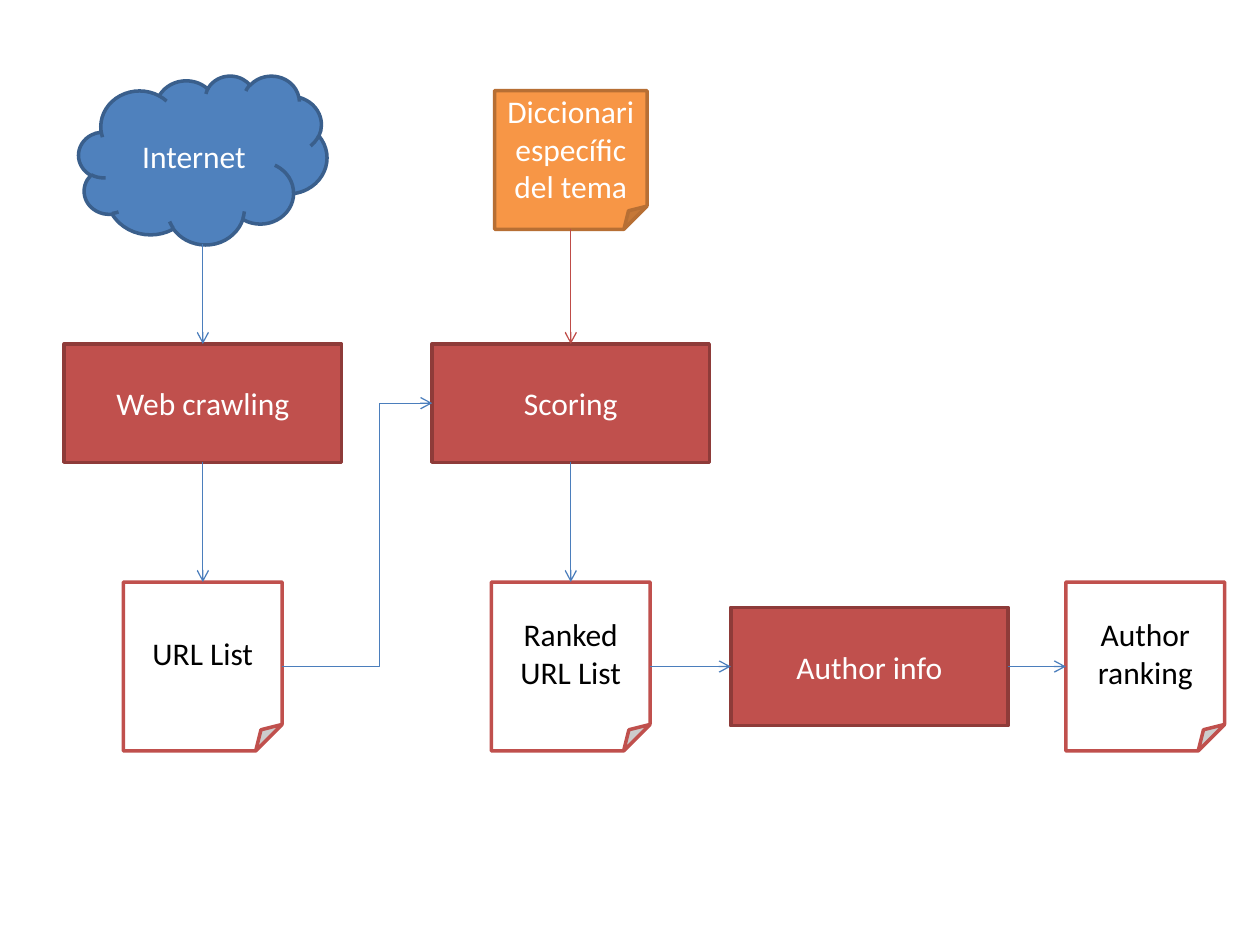
import dataclasses

import pptx
import pptx.dml.color
import pptx.enum.shapes
import pptx.enum.text
import pptx.oxml
import pptx.oxml.ns
import pptx.util

Inches = pptx.util.Inches
Kind = pptx.enum.shapes.MSO_SHAPE
Link = pptx.enum.shapes.MSO_CONNECTOR
TOP, LEFT, BOTTOM, RIGHT = range(4)


@dataclasses.dataclass(frozen=True)
class Theme:
    font: str = "Calibri"
    size: int = 18
    edge: float = 2
    thin: float = 0.75
    white: str = "FFFFFF"
    black: str = "000000"
    blue: str = "4F81BD"
    navy: str = "3A5F8C"
    red: str = "C0504D"
    dark: str = "8E3B39"
    gold: str = "F79646"
    brown: str = "B76F34"
    flow: str = "4B7EBC"
    feed: str = "BF4C48"


THEME = Theme()
COLS = (1.61, 4.53, 6.9, 9.09)
ROWS = (1.27, 3.2, 5.29)


def color(code):
    return pptx.dml.color.RGBColor.from_string(code)


def write(shape, text, size=THEME.size, ink=THEME.white):
    frame = shape.text_frame
    frame.word_wrap = True
    frame.vertical_anchor = pptx.enum.text.MSO_ANCHOR.MIDDLE
    para = frame.paragraphs[0]
    para.alignment = pptx.enum.text.PP_ALIGN.CENTER
    run = para.add_run()
    run.text = text
    run.font.name = THEME.font
    run.font.size = pptx.util.Pt(size)
    run.font.color.rgb = color(ink)


def node(slide, kind, text, center, size, fill, edge, ink=THEME.white):
    (x, y), (wide, high) = center, size
    shape = slide.shapes.add_shape(
        kind, Inches(x - wide / 2), Inches(y - high / 2),
        Inches(wide), Inches(high))
    shape.shadow.inherit = False
    shape.fill.solid()
    shape.fill.fore_color.rgb = color(fill)
    shape.line.color.rgb = color(edge)
    shape.line.width = pptx.util.Pt(THEME.edge)
    write(shape, text, ink=ink)
    return shape


def step(slide, text, col, row):
    return node(slide, Kind.RECTANGLE, text, (COLS[col], ROWS[row]),
                (2.2, 0.94), THEME.red, THEME.dark)


def sheet(slide, text, col):
    return node(slide, Kind.FOLDED_CORNER, text, (COLS[col], ROWS[2]),
                (1.26, 1.34), THEME.white, THEME.red, THEME.black)


def port(shape, side):
    """Return the middle of one side of a shape."""
    x = {LEFT: 0, RIGHT: shape.width}.get(side, shape.width // 2)
    y = {TOP: 0, BOTTOM: shape.height}.get(side, shape.height // 2)
    return shape.left + x, shape.top + y


def arrow(slide, start, out, end, into, ink=THEME.flow, bend=None):
    """Link two sides; bend is the share of the width before the turn."""
    kind = Link.STRAIGHT if bend is None else Link.ELBOW
    line = slide.shapes.add_connector(kind, *port(start, out), *port(end, into))
    # The cloud numbers its sites differently from the other shapes.
    if start.auto_shape_type != Kind.CLOUD:
        line.begin_connect(start, out)
    line.end_connect(end, into)
    line.line.color.rgb = color(ink)
    line.line.width = pptx.util.Pt(THEME.thin)
    props = line._element.spPr
    space = pptx.oxml.ns.nsdecls("a")
    props.find(pptx.oxml.ns.qn("a:ln")).append(
        pptx.oxml.parse_xml(f'<a:tailEnd {space} type="arrow"/>'))
    props.append(pptx.oxml.parse_xml(f"<a:effectLst {space}/>"))
    if bend is not None:
        guides = props.find(".//" + pptx.oxml.ns.qn("a:avLst"))
        guides.append(pptx.oxml.parse_xml(
            f'<a:gd {space} name="adj1" fmla="val {round(bend * 100000)}"/>'))


def main():
    deck = pptx.Presentation()
    deck.slide_width, deck.slide_height = Inches(10), Inches(7.5)
    slide = deck.slides.add_slide(deck.slide_layouts.get_by_name("Blank"))

    terms = node(slide, Kind.FOLDED_CORNER, "Diccionari específic del tema",
                 (COLS[1], ROWS[0]), (1.21, 1.1), THEME.gold, THEME.brown)
    web = node(slide, Kind.CLOUD, "Internet", (COLS[0], ROWS[0]),
               (1.97, 1.34), THEME.blue, THEME.navy)
    crawl = step(slide, "Web crawling", 0, 1)
    score = step(slide, "Scoring", 1, 1)
    info = step(slide, "Author info", 2, 2)
    urls = sheet(slide, "URL List", 0)
    ranked = sheet(slide, "Ranked URL List", 1)
    result = sheet(slide, "Author ranking", 3)

    for start, end in ((web, crawl), (crawl, urls), (score, ranked)):
        arrow(slide, start, BOTTOM, end, TOP)
    arrow(slide, terms, BOTTOM, score, TOP, ink=THEME.feed)
    for start, end in ((ranked, info), (info, result)):
        arrow(slide, start, RIGHT, end, LEFT)
    arrow(slide, urls, RIGHT, score, LEFT, bend=0.65)

    deck.save("out.pptx")


if __name__ == "__main__":
    main()
